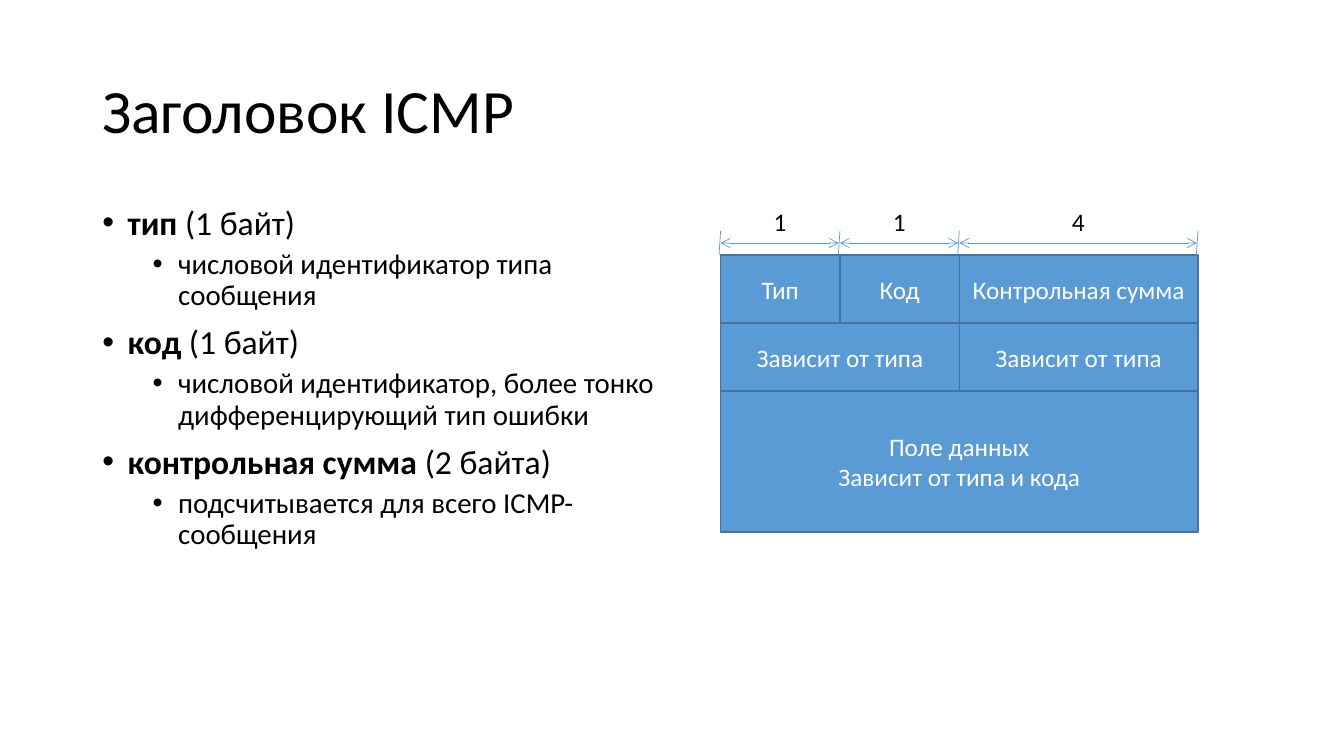
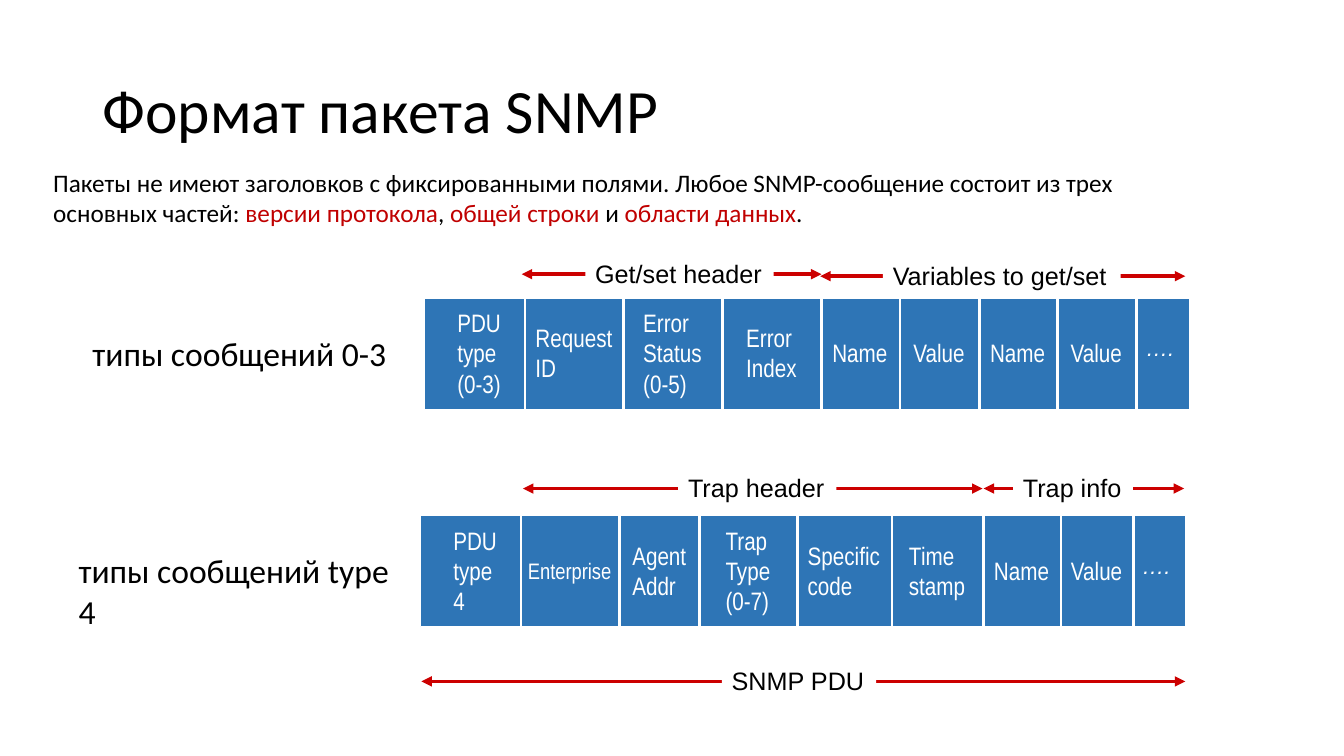
from collections import namedtuple
from dataclasses import dataclass
from itertools import accumulate

from lxml import etree
from pptx import Presentation
from pptx.dml import color
from pptx.enum import shapes, text
from pptx.oxml import ns
from pptx.util import Cm, Pt

Box = namedtuple("Box", "left top width height")
Style = namedtuple("Style", "font size color bold italic", defaults=(False, False))
Field = namedtuple("Field", "lines width text_width style")
Span = namedtuple("Span", "label start end rise label_left label_width")


@dataclass(frozen=True)
class Theme:
    white: str = "FFFFFF"
    header_fill: str = "5B9BD5"
    header_line: str = "43739E"
    packet_fill: str = "2E75B6"
    arrow: str = "CC0000"
    title: Style = Style("Calibri", 44, "000000")
    term: Style = Style("Calibri", 24, "000000", True)
    caption: Style = Style("Calibri", 24, "000000")
    detail: Style = Style("Calibri", 20.6, "000000")
    plain: Style = Style("Calibri", 18, "000000")
    accent: Style = Style("Calibri", 18, "C00000")
    header_text: Style = Style("Calibri", 18, "FFFFFF")
    field: Style = Style("Arial Narrow", 18, "FFFFFF")
    small_field: Style = Style("Arial Narrow", 16, "FFFFFF")
    dots: Style = Style("Arial", 16, "FFFFFF", False, True)
    span: Style = Style("Arial", 18, "000000")


THEME = Theme()
TITLE_BOX = Box(2.33, 1.01, 29.21, 3.68)


def rgb(value):
    return color.RGBColor.from_string(value)


def add_run(para, content, style):
    span = para.add_run()
    span.text = content
    font = span.font
    font.name, font.size = style.font, Pt(style.size)
    font.bold, font.italic = style.bold, style.italic
    font.color.rgb = rgb(style.color)


def write(frame, paragraphs, align=text.PP_ALIGN.LEFT):
    written = []
    for index, runs in enumerate(paragraphs):
        para = frame.add_paragraph() if index else frame.paragraphs[0]
        para.alignment = align
        for content, style in runs:
            add_run(para, content, style)
        written.append(para)
    return written


def add_text(page, box, paragraphs, wrap=True, anchor=text.MSO_ANCHOR.TOP):
    frame = page.shapes.add_textbox(*map(Cm, box)).text_frame
    frame.word_wrap = wrap
    frame.vertical_anchor = anchor
    return write(frame, paragraphs)


def add_rect(page, box, fill, line=None, weight=1.0):
    rect = page.shapes.add_shape(shapes.MSO_SHAPE.RECTANGLE, *map(Cm, box))
    rect.shadow.inherit = False
    rect.fill.solid()
    rect.fill.fore_color.rgb = rgb(fill)
    if line:
        rect.line.color.rgb = rgb(line)
        rect.line.width = Pt(weight)
    else:
        rect.line.fill.background()
    return rect


def add_line(page, start, end, stroke, weight, head=None):
    line = page.shapes.add_connector(
        shapes.MSO_CONNECTOR.STRAIGHT, *map(Cm, (*start, *end)))
    line.line.color.rgb = rgb(stroke)
    line.line.width = Pt(weight)
    if head:
        outline = line.line._get_or_add_ln()
        for tag in ("a:headEnd", "a:tailEnd"):
            etree.SubElement(outline, ns.qn(tag), type=head)
    etree.SubElement(line._element.spPr, ns.qn("a:effectLst"))


def add_title(page, content):
    para, = add_text(page, TITLE_BOX, [[(content, THEME.title)]],
                     anchor=text.MSO_ANCHOR.MIDDLE)
    para.line_spacing = 0.9


def set_bullet(para, level):
    props = para._p.get_or_add_pPr()
    props.set("marL", str(Cm(0.64 + 1.27 * level)))
    props.set("indent", str(Cm(-0.64)))
    para.level = level
    para.line_spacing = 0.9
    para.space_before = Pt(5 if level else 10)
    etree.SubElement(props, ns.qn("a:buFont"), typeface="Arial")
    etree.SubElement(props, ns.qn("a:buChar"), char="•")


def definitions(page, box, entries):
    paragraphs = []
    for term, size, detail in entries:
        paragraphs.append([(term, THEME.term), (size, THEME.caption)])
        paragraphs.append([(detail, THEME.detail)])
    for index, para in enumerate(add_text(page, box, paragraphs)):
        set_bullet(para, index % 2)


def header_diagram(page, box, columns, rows, sizes):
    unit = box.width / columns
    top = box.top
    for height, cells in rows:
        column = 0
        for lines, span in cells:
            cell = Box(box.left + column * unit, top, span * unit, height)
            rect = add_rect(page, cell, THEME.header_fill, THEME.header_line)
            frame = rect.text_frame
            frame.word_wrap = True
            frame.vertical_anchor = text.MSO_ANCHOR.MIDDLE
            write(frame, [[(line, THEME.header_text)] for line in lines],
                  text.PP_ALIGN.CENTER)
            column += span
        top += height
    byte_ruler(page, Box(box.left, box.top - 0.61, box.width, 0.61), unit, sizes)


def byte_ruler(page, box, unit, sizes):
    edges = [box.left + unit * n
             for n in accumulate((span for _, span in sizes), initial=0)]
    for edge in edges:
        add_line(page, (edge, box.top), (edge - 0.04, box.top + box.height),
                 THEME.header_fill, 0.5)
    middle = box.top + box.height / 2
    for (label, _), start, end in zip(sizes, edges, edges[1:]):
        add_line(page, (start, middle), (end - 0.03, middle),
                 THEME.header_fill, 0.5, "arrow")
        place = Box((start + end) / 2 - 0.42, box.top - 0.74, 0.84, 1.02)
        add_text(page, place, [[(label, THEME.plain)]], wrap=False)


def span_arrow(page, left, y, span):
    add_line(page, (left + span.start, y), (left + span.end, y),
             THEME.arrow, 2.5, "triangle")
    place = Box(left + span.label_left, y - 0.53, span.label_width, 1.02)
    frame = add_rect(page, place, THEME.white).text_frame
    frame.word_wrap = False
    frame.vertical_anchor = text.MSO_ANCHOR.MIDDLE
    write(frame, [[(span.label, THEME.span)]])


def packet_row(page, box, caption, caption_box, fields, spans):
    add_rect(page, box, THEME.packet_fill, THEME.white, 0.75)
    left = box.left
    for index, field in enumerate(fields):
        if index:
            add_line(page, (left, box.top), (left, box.top + box.height + 0.04),
                     THEME.white, 2)
        shift = 0 if index else 0.13
        place = Box(left + (field.width - field.text_width) / 2 + shift,
                    box.top, field.text_width, box.height - 0.05)
        paras = add_text(page, place, [[(line, field.style)] for line in field.lines],
                         wrap=False, anchor=text.MSO_ANCHOR.MIDDLE)
        if field.style == THEME.dots:
            paras[0].line_spacing = Pt(12)
        left += field.width
    for span in spans:
        span_arrow(page, box.left, box.top - span.rise, span)
    place = caption_box._replace(left=box.left + caption_box.left,
                                 top=box.top + caption_box.top)
    add_text(page, place, [[(caption, THEME.caption)]], wrap=False)


def icmp_slide(page):
    add_title(page, "Заголовок ICMP")
    definitions(page, Box(2.33, 5.07, 15.4, 12.09), [
        ("тип", " (1 байт)", "числовой идентификатор типа сообщения"),
        ("код", " (1 байт)",
         "числовой идентификатор, более тонко дифференцирующий тип ошибки"),
        ("контрольная сумма", " (2 байта)",
         "подсчитывается для всего ICMP-сообщения"),
    ])
    depends = (["Зависит от типа"], 2)
    rows = [
        (1.71, [(["Тип"], 1), (["Код"], 1), (["Контрольная сумма"], 2)]),
        (1.71, [depends, depends]),
        (3.56, [(["Поле данных", "Зависит от типа и кода"], 4)]),
    ]
    header_diagram(page, Box(18.16, 6.43, 12.03, 6.98), 4, rows,
                   [("1", 1), ("1", 1), ("4", 2)])


def snmp_slide(page):
    add_title(page, "Формат пакета SNMP")
    plain, accent, field, dots = THEME.plain, THEME.accent, THEME.field, THEME.dots
    packet_row(page, Box(10.69, 7.52, 19.28, 2.79), "типы сообщений 0-3",
               Box(-8.61, 0.74, 7.92, 1.27), [
        Field(["PDU", "type", "(0-3)"], 2.54, 1.63, field),
        Field(["Request", "ID"], 2.49, 2.46, field),
        Field(["Error", "Status", "(0-5)"], 2.49, 2.01, field),
        Field(["Error", "Index"], 2.49, 1.8, field),
        Field(["Name"], 1.98, 1.93, field),
        Field(["Value"], 2.01, 1.83, field),
        Field(["Name"], 1.95, 1.93, field),
        Field(["Value"], 2.01, 1.83, field),
        Field(["…."], 1.32, 1.37, dots),
    ], [
        Span("Get/set header", 2.46, 10.01, 0.61, 4.06, 4.75),
        Span("Variables to get/set", 9.98, 19.18, 0.56, 11.56, 5.99),
    ])
    packet_row(page, Box(10.59, 13, 19.28, 2.79), "типы сообщений type 4",
               Box(-8.86, 0.74, 8.94, 1.27), [
        Field(["PDU", "type", "4"], 2.54, 1.63, field),
        Field(["Enterprise"], 2.49, 2.64, THEME.small_field),
        Field(["Agent", "Addr"], 2.01, 1.88, field),
        Field(["Trap", "Type", "(0-7)"], 2.46, 1.65, field),
        Field(["Specific", "code"], 2.39, 2.36, field),
        Field(["Time", "stamp"], 2.31, 1.96, field),
        Field(["Name"], 1.95, 1.93, field),
        Field(["Value"], 1.83, 1.83, field),
        Field(["…."], 1.3, 1.37, dots),
    ], [
        Span("Trap header", 2.59, 14.17, 0.69, 6.5, 3.99),
        Span("Trap info", 14.2, 19.25, 0.69, 14.94, 3.02),
        Span("SNMP PDU", 0.03, 19.28, -4.17, 7.6, 3.89),
    ])
    add_text(page, Box(1.09, 4.09, 29.26, 1.8), [[
        ("Пакеты не имеют заголовков с фиксированными полями. "
         "Любое SNMP-сообщение состоит из трех основных частей: ", plain),
        ("версии протокола", accent), (", ", plain),
        ("общей строки", accent), (" и ", plain),
        ("области данных", accent), (".", plain),
    ]])


def main():
    deck = Presentation()
    deck.slide_width, deck.slide_height = Cm(33.87), Cm(19.05)
    for build in (icmp_slide, snmp_slide):
        build(deck.slides.add_slide(deck.slide_layouts[6]))
    deck.save("out.pptx")


if __name__ == "__main__":
    main()
